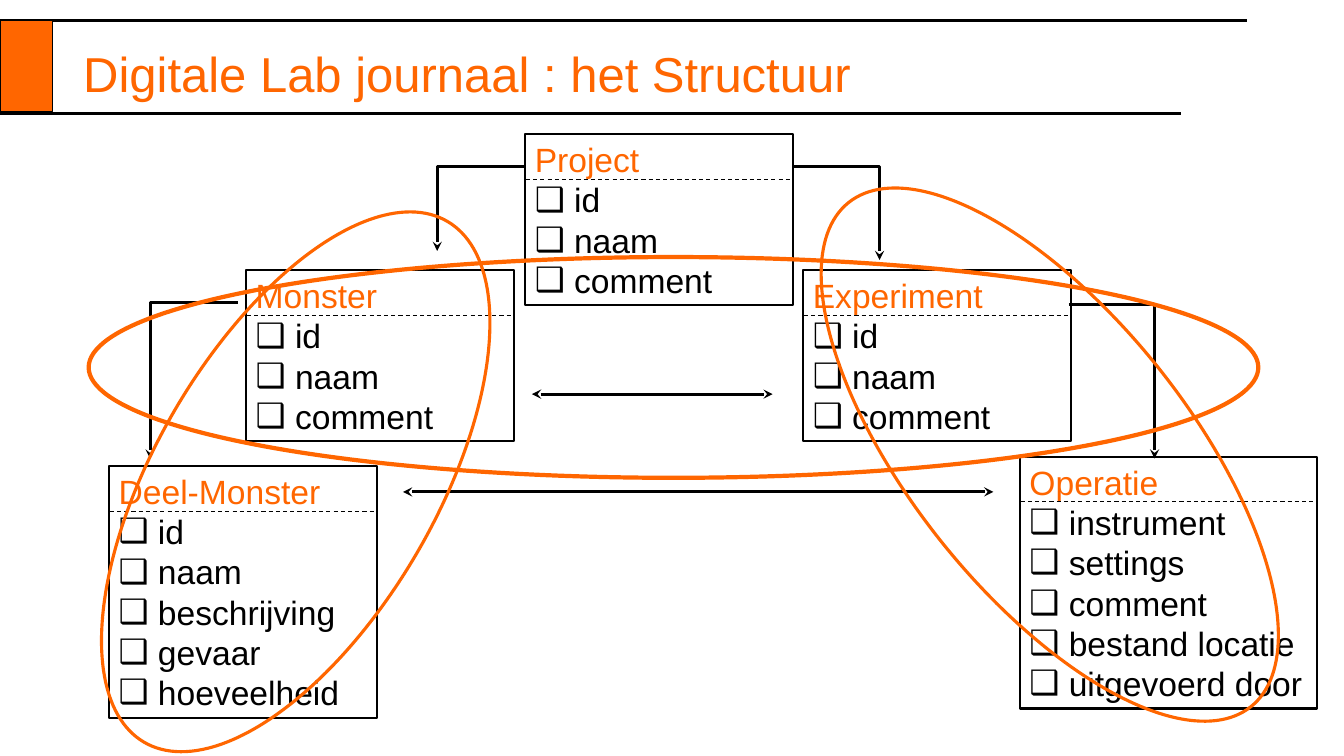
from lxml import etree
from pptx import Presentation
from pptx.dml.color import RGBColor
from pptx.enum.dml import MSO_LINE
from pptx.enum.shapes import MSO_CONNECTOR, MSO_SHAPE
from pptx.enum.text import MSO_ANCHOR, PP_ALIGN
from pptx.oxml.ns import qn
from pptx.util import Inches, Pt

RECT, OVAL = MSO_SHAPE.RECTANGLE, MSO_SHAPE.OVAL
STRAIGHT = MSO_CONNECTOR.STRAIGHT
DASH = MSO_LINE.DASH
LEFT, CENTER = PP_ALIGN.LEFT, PP_ALIGN.CENTER
TOP, MIDDLE = MSO_ANCHOR.TOP, MSO_ANCHOR.MIDDLE

COLORS = {"orange": "FF6600", "black": "000000"}
BASIC = ["id", "naam", "comment"]
CARDS = [
    ("Project", 5.21, 1.33, 2.66, 1.7, BASIC),
    ("Experiment", 7.97, 2.68, 2.66, 1.7, BASIC),
    ("Monster", 2.44, 2.68, 2.66, 1.7, BASIC),
    ("Deel-Monster", 1.08, 4.62, 2.66, 2.5,
     ["id", "naam", "beschrijving", "gevaar", "hoeveelheid"]),
    ("Operatie", 10.12, 4.53, 2.95, 2.5,
     ["instrument", "settings", "comment", "bestand locatie", "uitgevoerd door"]),
]
ELBOWS = [
    (5.21, 1.65, 4.34, 2.49),
    (7.88, 1.65, 8.73, 2.58),
    (2.36, 3, 1.49, 4.55),
    (10.61, 3.02, 11.46, 4.55),
]
LINKS = [(5.28, 7.67, 3.91), (4, 9.86, 4.88)]
RINGS = [
    (0.88, 2.55, 11.61, 2.19, 0, 3),
    (1.54, 1.79, 2.79, 5.98, 30.2, 2.25),
    (9.04, 1.31, 2.76, 6.4, 321.4, 2.25),
]


class Board:
    font = "Arial"

    def __init__(self, deck):
        self.slide = deck.slides.add_slide(deck.slide_layouts[5])
        self.shapes = self.slide.shapes

    def color(self, name):
        return RGBColor.from_string(COLORS[name])

    def label(self, para, text, size, color, align=LEFT):
        para.text = text
        para.alignment = align
        for run in para.runs:
            run.font.name = self.font
            run.font.size = Pt(size)
            run.font.color.rgb = self.color(color)

    def stroke(self, item, width, color="black", ends=()):
        item.line.color.rgb = self.color(color)
        item.line.width = Pt(width)
        edge = item.line._get_or_add_ln()
        for end in ends:
            etree.SubElement(edge, qn(f"a:{end}"), type="stealth")

    def title(self, text, left, top, width, height):
        box = self.shapes.title
        box.left, box.top = Inches(left), Inches(top)
        box.width, box.height = Inches(width), Inches(height)
        frame = box.text_frame
        frame.word_wrap = True
        frame.vertical_anchor = MIDDLE
        self.label(frame.paragraphs[0], text, 35, "orange", CENTER)

    def shape(self, kind, left, top, width, height, line, color="black", fill=None):
        item = self.shapes.add_shape(
            kind, Inches(left), Inches(top), Inches(width), Inches(height))
        item.shadow.inherit = False
        if fill:
            item.fill.solid()
            item.fill.fore_color.rgb = self.color(fill)
        else:
            item.fill.background()
        self.stroke(item, line, color)
        return item

    def line(self, x1, y1, x2, y2, width, ends=()):
        item = self.shapes.add_connector(
            STRAIGHT, Inches(x1), Inches(y1), Inches(x2), Inches(y2))
        self.stroke(item, width, ends=ends)
        etree.SubElement(item._element.spPr, qn("a:effectLst"))
        return item

    def elbow(self, x1, y1, x2, y2):
        pen = self.shapes.build_freeform(Inches(x1), Inches(y1))
        pen.add_line_segments(
            [(Inches(x2), Inches(y1)), (Inches(x2), Inches(y2))], close=False)
        item = pen.convert_to_shape()
        item.shadow.inherit = False
        item.fill.background()
        self.stroke(item, 2.25, ends=["tailEnd"])

    def bullet(self, para):
        props = para._p.get_or_add_pPr()
        props.set("marL", str(Inches(0.39)))
        props.set("indent", str(-Inches(0.39)))
        tint = etree.SubElement(props, qn("a:buClr"))
        etree.SubElement(tint, qn("a:srgbClr"), val=COLORS["black"])
        etree.SubElement(props, qn("a:buFont"), typeface=self.font)
        etree.SubElement(props, qn("a:buChar"), char="❑")

    def card(self, name, left, top, width, height, fields):
        frame = self.shape(RECT, left, top, width, height, 1.5).text_frame
        frame.word_wrap = True
        frame.vertical_anchor = TOP
        self.label(frame.paragraphs[0], name, 24, "orange")
        for field in fields:
            para = frame.add_paragraph()
            self.bullet(para)
            self.label(para, field, 24, "black")
        rule = self.line(left + 0.01, top + 0.45, left + width - 0.01, top + 0.45, 0.75)
        rule.line.dash_style = DASH

    def ring(self, left, top, width, height, turn, line):
        item = self.shape(OVAL, left, top, width, height, line, "orange")
        item.rotation = turn


def main():
    deck = Presentation()
    deck.slide_width, deck.slide_height = Inches(13.34), Inches(7.5)
    board = Board(deck)
    board.title("Digitale Lab journaal : het Structuur", 0.55, 0.32, 8.18, 0.8)
    board.line(0, 1.13, 11.72, 1.13, 2.25)
    board.line(0, 0.2, 12.38, 0.2, 2.25)
    board.shape(RECT, 0, 0.2, 0.52, 0.91, 0.75, fill="orange")
    for card in CARDS:
        board.card(*card)
    for elbow in ELBOWS:
        board.elbow(*elbow)
    for start, stop, level in LINKS:
        board.line(start, level, stop, level, 2.25, ["headEnd", "tailEnd"])
    for ring in RINGS:
        board.ring(*ring)
    deck.save("out.pptx")


if __name__ == "__main__":
    main()
